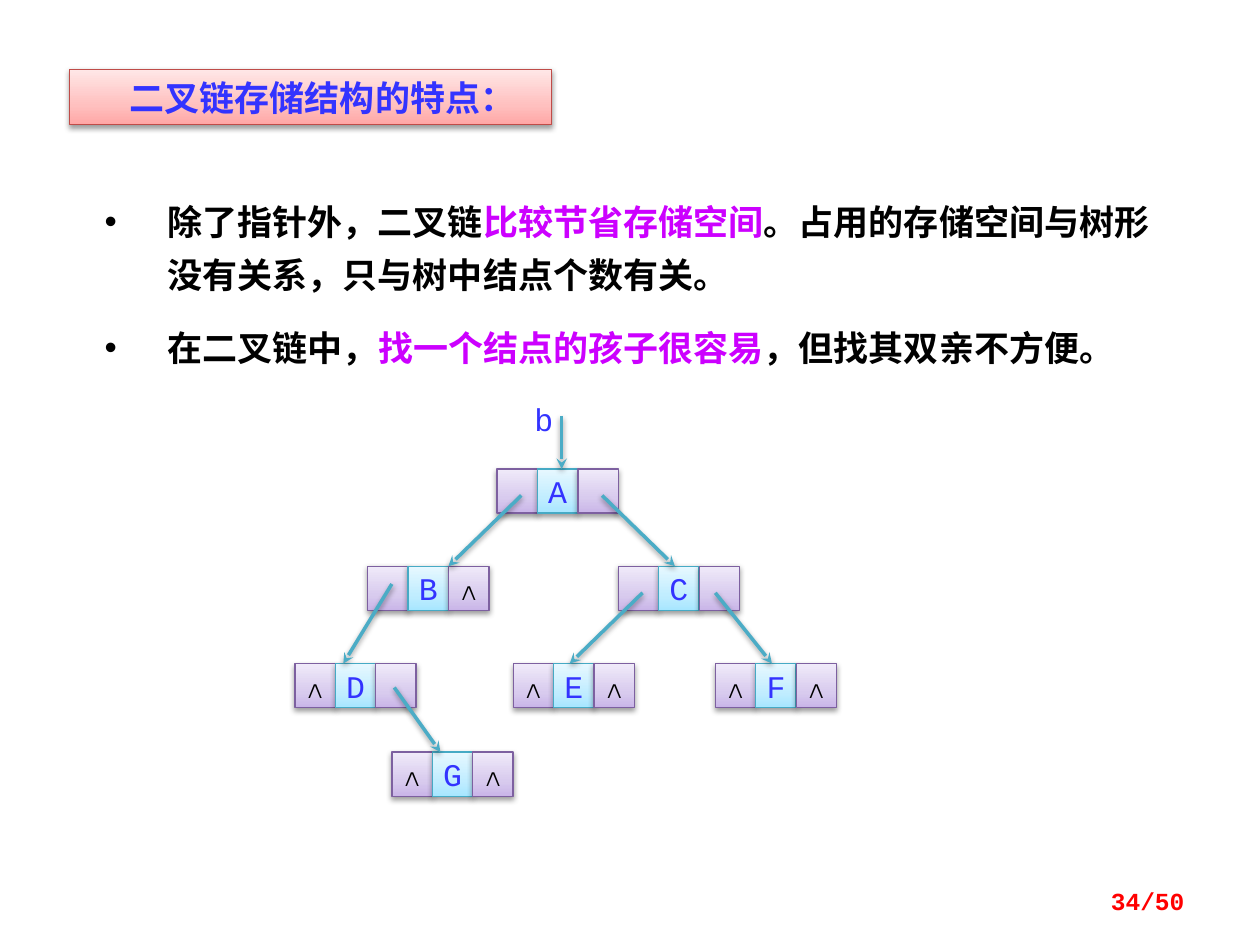
from lxml import etree
from pptx import Presentation
from pptx.dml.color import RGBColor
from pptx.enum.shapes import MSO_CONNECTOR, MSO_SHAPE
from pptx.enum.text import MSO_ANCHOR, PP_ALIGN
from pptx.oxml import parse_xml
from pptx.oxml.ns import nsdecls, qn
from pptx.util import Inches, Pt

RECTANGLE = MSO_SHAPE.RECTANGLE
STRAIGHT = MSO_CONNECTOR.STRAIGHT
MIDDLE = MSO_ANCHOR.MIDDLE
CENTER, RIGHT = PP_ALIGN.CENTER, PP_ALIGN.RIGHT

BLACK = RGBColor(0x00, 0x00, 0x00)
WHITE = RGBColor(0xFF, 0xFF, 0xFF)
BLUE = RGBColor(0x33, 0x33, 0xFF)
MAGENTA = RGBColor(0xCC, 0x00, 0xFF)
RED = RGBColor(0xFF, 0x00, 0x00)
TEAL = RGBColor(0x4B, 0xAC, 0xC6)
RED_LINE = RGBColor(0xBF, 0x4C, 0x48)
PURPLE_LINE = RGBColor(0x7D, 0x60, 0xA0)
CYAN_LINE = RGBColor(0x46, 0xAA, 0xC5)
RED_STOPS = (RGBColor(0xFF, 0xA6, 0xA5), RGBColor(0xFF, 0xC0, 0xBF), RGBColor(0xFF, 0xE7, 0xE7))
PURPLE_STOPS = (RGBColor(0xC9, 0xB5, 0xE8), RGBColor(0xD8, 0xCB, 0xEE), RGBColor(0xF0, 0xEA, 0xF9))
CYAN_STOPS = (RGBColor(0xA7, 0xE6, 0xFF), RGBColor(0xC1, 0xED, 0xFF), RGBColor(0xE7, 0xF8, 0xFF))
STOP_POSITIONS = (0, 35, 100)

LATIN_FONT = "Courier New"
CHINESE_FONT = "Noto Sans CJK SC"
NIL = "∧"

TREE_COLUMNS, TREE_ROWS = 67, 46
CELL_SPAN = 5
NODES = [
    (25, 9, ("", "A", "")),
    (9, 20, ("", "B", NIL)),
    (0, 31, (NIL, "D", "")),
    (12, 41, (NIL, "G", NIL)),
    (40, 20, ("", "C", "")),
    (27, 31, (NIL, "E", NIL)),
    (52, 31, (NIL, "F", NIL)),
]
ARROWS = [
    (28, 12, 19, 20),
    (12, 22, 6, 31),
    (38, 12, 47, 20),
    (12.3, 33.7, 18, 41),
    (43, 23, 34, 31),
    (52, 23, 59, 31),
    (33, 3, 33, 9),
]
BULLETS = [
    [("除了指针外，二叉链", BLACK), ("比较节省存储空间", MAGENTA),
     ("。占用的存储空间与树形没有关系，只与树中结点个数有关。", BLACK)],
    [("在二叉链中，", BLACK), ("找一个结点的孩子很容易", MAGENTA),
     ("，但找其双亲不方便。", BLACK)],
]


def add_run(paragraph, text, size, color, bold=False, latin=LATIN_FONT, chinese=None):
    run = paragraph.add_run()
    run.text = text
    font = run.font
    font.size, font.bold, font.name = Pt(size), bold, latin
    font.color.rgb = color
    if chinese:
        east_asian = etree.Element(qn("a:ea"), typeface=chinese)
        run.font._element.find(qn("a:latin")).addnext(east_asian)


def add_shadow(shape):
    shape.element.spPr.append(parse_xml(
        f'<a:effectLst {nsdecls("a")}><a:outerShdw blurRad="40000" dist="20000" '
        'dir="5400000" rotWithShape="0"><a:srgbClr val="000000">'
        '<a:alpha val="38000"/></a:srgbClr></a:outerShdw></a:effectLst>'))


def style_panel(shape, stops, line_color):
    shape.fill.gradient()
    shape.fill.gradient_angle = 90
    stop_list = shape.element.spPr.find(qn("a:gradFill")).find(qn("a:gsLst"))
    for stop in list(stop_list):
        stop_list.remove(stop)
    for position, color in zip(STOP_POSITIONS, stops):
        stop = etree.SubElement(stop_list, qn("a:gs"), pos=str(position * 1000))
        etree.SubElement(stop, qn("a:srgbClr"), val=str(color))
    shape.line.color.rgb = line_color
    shape.line.width = Pt(0.75)
    add_shadow(shape)


def place_title(slide, left, top, width, height):
    title = slide.shapes.title
    title.left, title.top, title.width, title.height = left, top, width, height
    style_panel(title, RED_STOPS, RED_LINE)
    frame = title.text_frame
    frame.vertical_anchor = MIDDLE
    frame.margin_left = Inches(0.29)
    paragraph = frame.paragraphs[0]
    paragraph.alignment = CENTER
    add_run(paragraph, "二叉链存储结构的特点：", 20, BLUE, True, CHINESE_FONT, CHINESE_FONT)


def place_bullets(slide, left, top, width, height):
    box = slide.shapes.add_textbox(left, top, width, height)
    box.fill.solid()
    box.fill.fore_color.rgb = WHITE
    frame = box.text_frame
    frame.word_wrap = True
    frame.margin_left = Inches(0.16)
    frame.margin_top = frame.margin_bottom = Inches(0.12)
    for index, runs in enumerate(BULLETS):
        paragraph = frame.add_paragraph() if index else frame.paragraphs[0]
        paragraph.line_spacing = Pt(30)
        paragraph.space_before = Pt(12)
        properties = paragraph._p.get_or_add_pPr()
        properties.set("marL", str(Inches(0.5)))
        properties.set("indent", str(-Inches(0.5)))
        etree.SubElement(properties, qn("a:buFont"), typeface="Arial")
        etree.SubElement(properties, qn("a:buChar"), char="•")
        for text, color in runs:
            add_run(paragraph, text, 20, color, True, chinese=CHINESE_FONT)


def place_node(slide, left, top, cell_width, height, labels):
    for index, label in enumerate(labels):
        cell = slide.shapes.add_shape(
            RECTANGLE, left + index * cell_width, top, cell_width, height)
        is_data = index == 1
        style_panel(cell, CYAN_STOPS if is_data else PURPLE_STOPS,
                    CYAN_LINE if is_data else PURPLE_LINE)
        if label:
            frame = cell.text_frame
            frame.word_wrap = False
            frame.vertical_anchor = MIDDLE
            paragraph = frame.paragraphs[0]
            paragraph.alignment = CENTER
            add_run(paragraph, label, 18, BLUE if is_data else BLACK)


def place_arrow(slide, start_x, start_y, end_x, end_y):
    arrow = slide.shapes.add_connector(STRAIGHT, start_x, start_y, end_x, end_y)
    arrow.line.color.rgb = TEAL
    arrow.line.width = Pt(2)
    etree.SubElement(arrow.element.spPr.find(qn("a:ln")), qn("a:tailEnd"), type="stealth")
    add_shadow(arrow)


def place_label(slide, left, top, width, height, text, size, color, alignment, bold=False):
    box = slide.shapes.add_textbox(left, top, width, height)
    frame = box.text_frame
    frame.word_wrap = True
    frame.vertical_anchor = MIDDLE
    paragraph = frame.paragraphs[0]
    paragraph.alignment = alignment
    add_run(paragraph, text, size, color, bold)


def place_tree(slide, left, top, width, height):
    def x(column):
        return left + round(width * column / TREE_COLUMNS)

    def y(row):
        return top + round(height * row / TREE_ROWS)

    cell_width, cell_height = x(CELL_SPAN) - left, y(CELL_SPAN) - top
    for column, row, labels in NODES:
        place_node(slide, x(column), y(row), cell_width, cell_height, labels)
    for start_column, start_row, end_column, end_row in ARROWS:
        place_arrow(slide, x(start_column), y(start_row), x(end_column), y(end_row))
    place_label(slide, x(26.3), y(0.5), x(9) - left, y(5.7) - top, "b", 18, BLUE, CENTER)


def main():
    presentation = Presentation()
    presentation.slide_width, presentation.slide_height = Inches(10), Inches(7.5)
    slide = presentation.slides.add_slide(presentation.slide_layouts[5])
    place_title(slide, Inches(0.55), Inches(0.55), Inches(3.83), Inches(0.44))
    place_bullets(slide, Inches(0.67), Inches(1.39), Inches(8.78), Inches(1.67))
    place_tree(slide, Inches(2.34), Inches(3.09), Inches(4.3), Inches(3.23))
    place_label(slide, Inches(7.17), Inches(6.95), Inches(2.33), Inches(0.4),
                "34/50", 14, RED, RIGHT, True)
    presentation.save("out.pptx")


if __name__ == "__main__":
    main()
